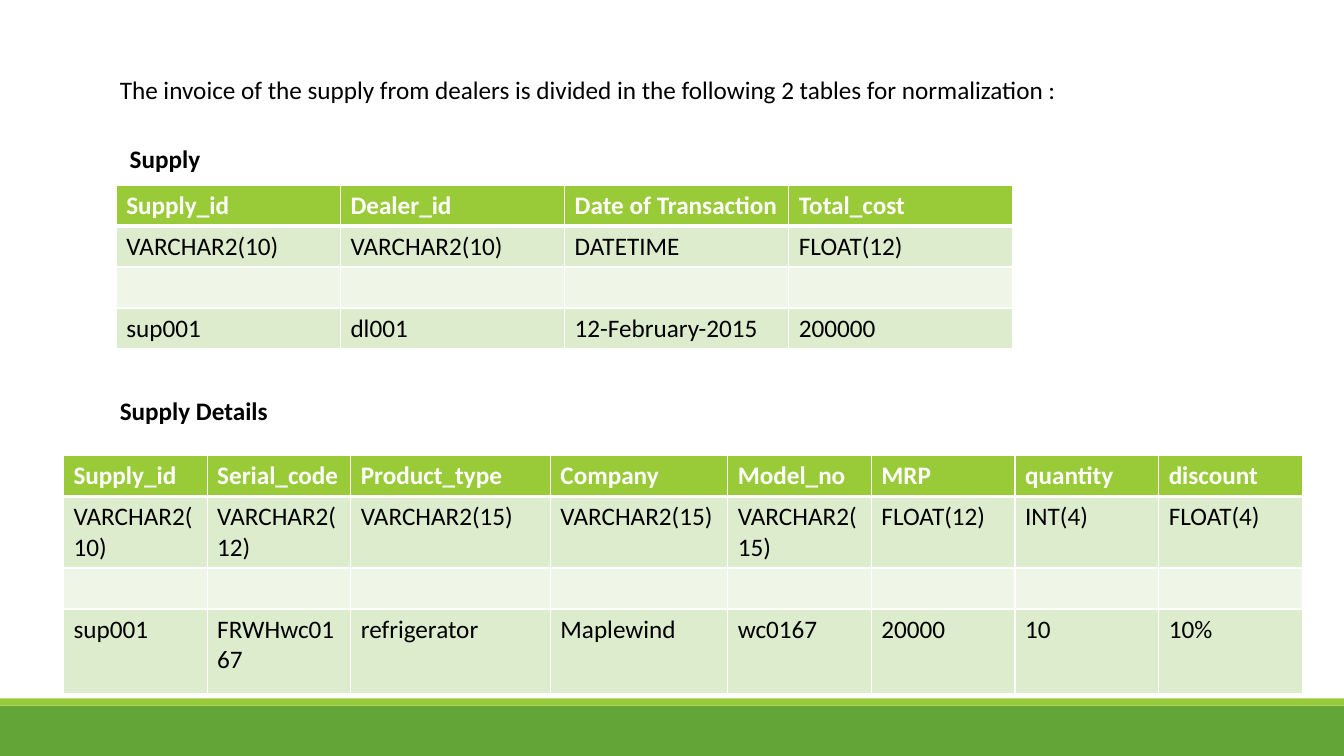
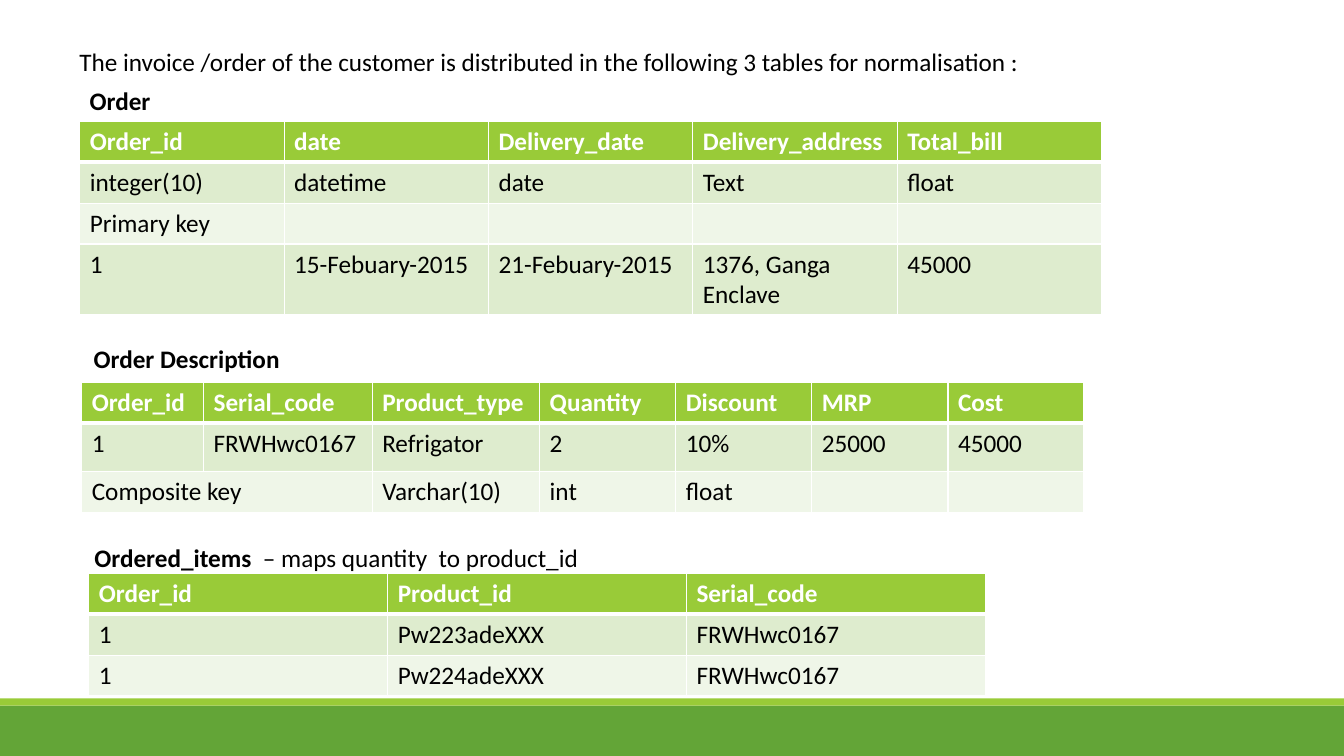
from dataclasses import dataclass

from lxml import etree
from pptx import Presentation
from pptx.dml.color import RGBColor
from pptx.enum.shapes import MSO_SHAPE
from pptx.enum.text import MSO_ANCHOR, MSO_AUTO_SIZE, PP_ALIGN
from pptx.oxml.ns import qn
from pptx.util import Cm, Pt

RECT = MSO_SHAPE.RECTANGLE
TOP = MSO_ANCHOR.TOP
LEFT = PP_ALIGN.LEFT
GROW = MSO_AUTO_SIZE.SHAPE_TO_FIT_TEXT

# Shared look
WIDE, HIGH = 33.87, 19.05
FONT, SIZE = "Calibri", 18
GREEN, LIME = "63A537", "99CB38"
TINTS = ("EFF6E8", "DEECCE")  # even rows, odd rows
WHITE, BLACK = "FFFFFF", "000000"
THIN, THICK = 1, 3
LINE = 1.03  # height of a row with one line of text


@dataclass(frozen=True)
class Band:
    top: float
    height: float
    fill: str


@dataclass(frozen=True)
class Run:
    text: str
    bold: bool = False


@dataclass(frozen=True)
class Label:
    left: float
    top: float
    width: float
    runs: tuple[Run, ...]


@dataclass(frozen=True)
class Grid:
    left: float
    top: float
    cols: tuple[float, ...]
    rows: tuple[float, ...]
    cells: tuple[tuple[str, ...], ...]
    merge: tuple[tuple[int, int], ...] = ()  # first and last cell


@dataclass(frozen=True)
class Page:
    labels: tuple[Label, ...]
    grids: tuple[Grid, ...]


BANDS = (Band(17.78, 1.27, GREEN), Band(17.6, 0.18, LIME))

# Content
SUPPLY = Page(
    labels=(
        Label(2.77, 1.75, 24.6, (Run(
            "The invoice of the supply from dealers is divided in the "
            "following 2 tables for normalization :"),)),
        Label(3.02, 3.48, 2.8, (Run("Supply", True),)),
        Label(2.77, 9.83, 4.5, (Run("Supply Details", True),)),
    ),
    grids=(
        Grid(2.93, 4.67, (5.65,) * 4, (LINE,) * 4, (
            ("Supply_id", "Dealer_id", "Date of Transaction", "Total_cost"),
            ("VARCHAR2(10)", "VARCHAR2(10)", "DATETIME", "FLOAT(12)"),
            ("",) * 4,
            ("sup001", "dl001", "12-February-2015", "200000"),
        )),
        Grid(1.6, 11.48, (3.62, 3.62, 5.03, 4.47) + (3.62,) * 4,
             (LINE, 1.78, LINE, 2.12), (
            ("Supply_id", "Serial_code", "Product_type", "Company",
             "Model_no", "MRP", "quantity", "discount"),
            ("VARCHAR2(10)", "VARCHAR2(12)", "VARCHAR2(15)", "VARCHAR2(15)",
             "VARCHAR2(15)", "FLOAT(12)", "INT(4)", "FLOAT(4)"),
            ("",) * 8,
            ("sup001", "FRWHwc0167", "refrigerator", "Maplewind",
             "wc0167", "20000", "10", "10%"),
        )),
    ),
)

ORDER = Page(
    labels=(
        Label(1.75, 1.04, 24.7, (Run(
            "The invoice /order of the customer is distributed in the "
            "following 3 tables for normalisation :"),)),
        Label(2.01, 2.03, 2.7, (Run("Order", True),)),
        Label(2.11, 8.53, 5.5, (Run("Order Description", True),)),
        Label(2.13, 13.54, 13, (Run("Ordered_items", True),
                                Run("  – maps quantity  to product_id"))),
    ),
    grids=(
        Grid(2.01, 3.06, (5.15,) * 5, (LINE, LINE, LINE, 1.77), (
            ("Order_id", "date", "Delivery_date", "Delivery_address",
             "Total_bill"),
            ("integer(10)", "datetime", "date", "Text", "float"),
            ("Primary key", "", "", "", ""),
            ("1", "15-Febuary-2015", "21-Febuary-2015",
             "1376, Ganga Enclave", "45000"),
        )),
        Grid(2.06, 9.63, (3.07, 4.25, 4.22) + (3.43,) * 4,
             (LINE, 1.22, LINE), (
            ("Order_id", "Serial_code", "Product_type", "Quantity",
             "Discount", "MRP", "Cost"),
            ("1", "FRWHwc0167", "Refrigator", "2", "10%", "25000", "45000"),
            ("Composite key", "", "Varchar(10)", "int", "float", "", ""),
        ), merge=((2, 0), (2, 1))),
        Grid(2.24, 14.45, (7.53,) * 3, (LINE,) * 3, (
            ("Order_id", "Product_id", "Serial_code"),
            ("1", "Pw223adeXXX", "FRWHwc0167"),
            ("1", "Pw224adeXXX", "FRWHwc0167"),
        )),
    ),
)


def paint(fill, shade: str) -> None:
    fill.solid()
    fill.fore_color.rgb = RGBColor.from_string(shade)


def write(frame, runs: tuple[Run, ...], shade: str = BLACK) -> None:
    para = frame.paragraphs[0]
    para.alignment = LEFT
    for item in runs:
        run = para.add_run()
        run.text = item.text
        font = run.font
        font.name, font.size, font.bold = FONT, Pt(SIZE), item.bold
        paint(font.fill, shade)


def edge(cell, row: int) -> None:
    """Rule a cell in white, with a thick line below the header."""
    widths = {
        "a:lnL": THIN,
        "a:lnR": THIN,
        "a:lnT": THICK if row == 1 else THIN,
        "a:lnB": THICK if row == 0 else THIN,
    }
    props = cell._tc.get_or_add_tcPr()
    for spot, (tag, width) in enumerate(widths.items()):
        line = etree.Element(qn(tag), w=str(Pt(width)))
        fill = etree.SubElement(line, qn("a:solidFill"))
        etree.SubElement(fill, qn("a:srgbClr"), val=WHITE)
        props.insert(spot, line)


def add_band(slide, band: Band) -> None:
    shape = slide.shapes.add_shape(
        RECT, 0, Cm(band.top), Cm(WIDE), Cm(band.height))
    shape.shadow.inherit = False
    paint(shape.fill, band.fill)
    shape.line.fill.background()


def add_label(slide, label: Label) -> None:
    box = slide.shapes.add_textbox(
        Cm(label.left), Cm(label.top), Cm(label.width), Cm(LINE))
    frame = box.text_frame
    frame.word_wrap = True
    frame.auto_size = GROW
    write(frame, label.runs)


def add_grid(slide, grid: Grid) -> None:
    table = slide.shapes.add_table(
        len(grid.rows), len(grid.cols), Cm(grid.left), Cm(grid.top),
        Cm(sum(grid.cols)), Cm(sum(grid.rows))).table
    table.horz_banding = False
    for col, width in zip(table.columns, grid.cols):
        col.width = Cm(width)
    for row, height in zip(table.rows, grid.rows):
        row.height = Cm(height)
    for r, texts in enumerate(grid.cells):
        head = r == 0
        for c, text in enumerate(texts):
            cell = table.cell(r, c)
            cell.vertical_anchor = TOP
            paint(cell.fill, LIME if head else TINTS[r % 2])
            edge(cell, r)
            if text:
                write(cell.text_frame, (Run(text, head),),
                      WHITE if head else BLACK)
    if grid.merge:
        first, last = grid.merge
        table.cell(*first).merge(table.cell(*last))


def main() -> None:
    deck = Presentation()
    deck.slide_width, deck.slide_height = Cm(WIDE), Cm(HIGH)
    blank = deck.slide_layouts[6]
    for page in (SUPPLY, ORDER):
        slide = deck.slides.add_slide(blank)
        for band in BANDS:
            add_band(slide, band)
        for grid in page.grids:
            add_grid(slide, grid)
        for label in page.labels:
            add_label(slide, label)
    deck.save("out.pptx")


if __name__ == "__main__":
    main()
